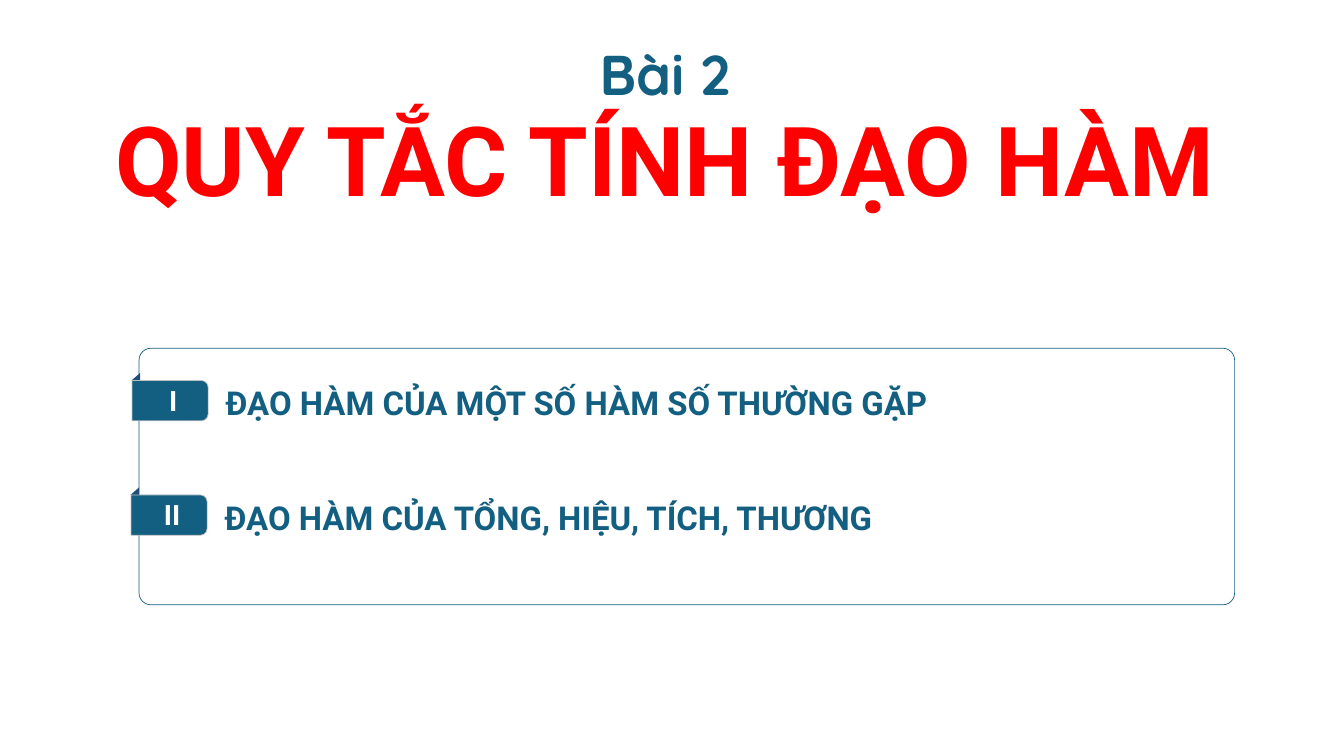
from pptx import Presentation
from pptx.dml.color import RGBColor
from pptx.enum import shapes, text
from pptx.util import Inches, Pt

TEAL, NAVY, RED, GREY, WHITE = "135F82", "1F4E79", "FF0000", "BFBFBF", "FFFFFF"
ROWS = [
    ("I", "ĐẠO HÀM CỦA MỘT SỐ HÀM SỐ THƯỜNG GẶP", 2.62, 7.55),
    ("II", "ĐẠO HÀM CỦA TỔNG, HIỆU, TÍCH, THƯƠNG", 2.6, 9.82),
]


def color(code):
    return RGBColor.from_string(code)


def paint(shape, fill=None, line=None):
    shape.shadow.inherit = False
    if fill:
        shape.fill.solid()
        shape.fill.fore_color.rgb = color(fill)
    else:
        shape.fill.background()
    if line:
        shape.line.color.rgb = color(line)
        shape.line.width = Pt(1)
    else:
        shape.line.fill.background()


def style(para, words, size, code, face="Roboto", center=False):
    para.text = words
    para.alignment = text.PP_ALIGN.CENTER if center else text.PP_ALIGN.LEFT
    font = para.font
    font.name, font.size, font.bold = face, Pt(size), True
    font.color.rgb = color(code)


def add_text(slide, x, y, w, h):
    frame = slide.shapes.add_textbox(*map(Inches, (x, y, w, h))).text_frame
    frame.word_wrap = True
    return frame


def add_title(slide, x, y, w, h):
    frame = add_text(slide, x, y, w, h)
    lesson, topic = frame.paragraphs[0], frame.add_paragraph()
    style(lesson, "Bài 2", 80, TEAL, "Quicksand", center=True)
    style(topic, "QUY TẮC TÍNH ĐẠO HÀM", 138, RED, center=True)
    lesson.line_spacing = topic.line_spacing = Pt(60)
    topic.space_before = Pt(96)


def add_panel(slide, x, y, w, h):
    panel = slide.shapes.add_shape(
        shapes.MSO_SHAPE.ROUNDED_RECTANGLE, *map(Inches, (x, y, w, h)))
    panel.adjustments[0] = 0.046
    paint(panel, line=TEAL)


def add_row(slide, number, label, x, y, w=1.51, h=0.8):
    """Number tab with a folded corner, and its label to the right."""
    style(add_text(slide, x + 1.76, y, 15.38, 0.89).paragraphs[0], label, 47, TEAL)

    fold = slide.shapes.build_freeform(Inches(x + 0.16), Inches(y))
    fold.add_line_segments([(Inches(x - 0.01), Inches(y)),
                            (Inches(x + 0.16), Inches(y - 0.15))])
    paint(fold.convert_to_shape(), NAVY)

    # The tab is a top-rounded shape turned on its side about its centre.
    shift = (w - h) / 2
    tab = slide.shapes.add_shape(
        shapes.MSO_SHAPE.ROUND_2_SAME_RECTANGLE,
        *map(Inches, (x + shift, y - shift, h, w)))
    tab.rotation = 90
    paint(tab, TEAL, GREY)

    mark = add_text(slide, x + 0.44, y + 0.01, 0.75, 0.77)
    style(mark.paragraphs[0], number, 40, WHITE, center=True)


def main():
    deck = Presentation()
    deck.slide_width, deck.slide_height = Inches(26.67), Inches(15)
    slide = deck.slides.add_slide(deck.slide_layouts[6])
    add_panel(slide, 2.76, 6.91, 21.74, 5.09)
    add_title(slide, 0.98, 1.23, 24.43, 3.1)
    for row in ROWS:
        add_row(slide, *row)
    deck.save("out.pptx")


if __name__ == "__main__":
    main()
